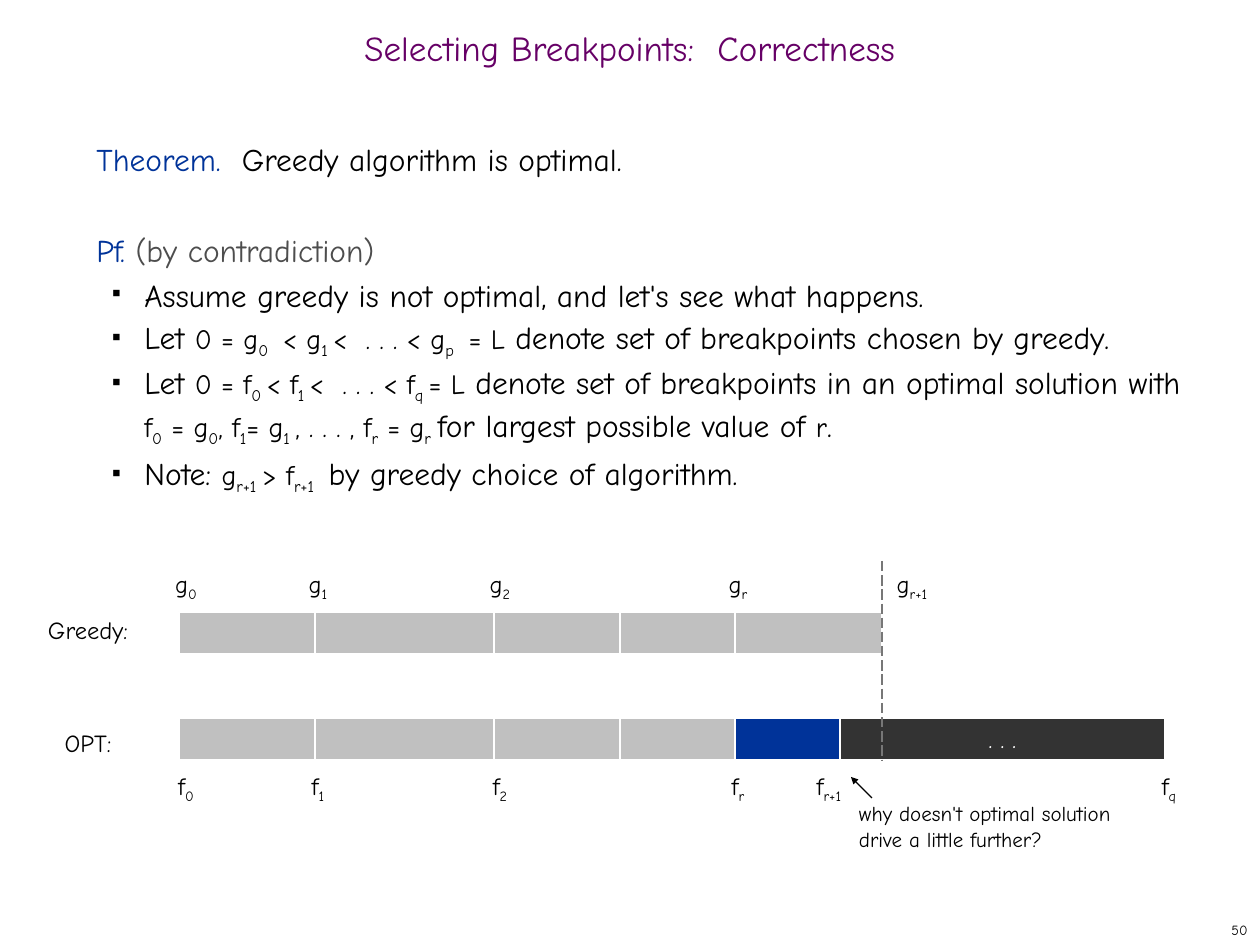
from dataclasses import dataclass
from itertools import pairwise

import pptx
import pptx.dml.color
import pptx.enum.dml
import pptx.enum.shapes
import pptx.enum.text
import pptx.oxml
import pptx.oxml.ns
import pptx.util

EMU_PER_PX = 914400 / 126
FONT = "Comic Neue"
COLORS = {
    "title": "660066",
    "blue": "003399",
    "muted": "4D4D4D",
    "black": "000000",
    "white": "FFFFFF",
    "gray": "C0C0C0",
    "dark": "333333",
    "dash": "777777",
}
ALIGN = pptx.enum.text.PP_ALIGN
ANCHOR = pptx.enum.text.MSO_ANCHOR


@dataclass(frozen=True)
class Span:
    words: str
    size: int = 18
    color: str = "black"
    lowered: bool = False


@dataclass(frozen=True)
class Label:
    center: int
    top: int
    spans: list[Span]
    height: int = 47


@dataclass(frozen=True)
class Bar:
    top: int
    edges: list[int]
    fills: list[str]


def px(length: int) -> int:
    return round(length * EMU_PER_PX)


def rgb(name: str) -> pptx.dml.color.RGBColor:
    return pptx.dml.color.RGBColor.from_string(COLORS[name])


def formula(words: str, size: int = 16) -> list[Span]:
    return [Span(part, size, lowered=i % 2 == 1) for i, part in enumerate(words.split("|"))]


def add_spans(para, spans: list[Span]) -> None:
    for item in spans:
        span = para.add_run()
        span.text = item.words
        span.font.name = FONT
        span.font.size = pptx.util.Pt(item.size)
        span.font.color.rgb = rgb(item.color)
        if item.lowered:
            span.font._element.set("baseline", "-25000")


def add_element(parent, tag: str, attributes: str = "", inner: str = "") -> None:
    namespace = pptx.oxml.ns.nsdecls("a")
    parent.append(pptx.oxml.parse_xml(f"<a:{tag} {namespace} {attributes}>{inner}</a:{tag}>"))


def add_bullet(para) -> None:
    properties = para._p.get_or_add_pPr()
    properties.set("marL", str(px(48)))
    properties.set("indent", str(px(-32)))
    add_element(properties, "buClr", inner=f'<a:srgbClr val="{COLORS["black"]}"/>')
    add_element(properties, "buSzPct", 'val="35000"')
    add_element(properties, "buChar", 'char="■"')


def add_text(page, left: int, top: int, width: int, height: int, spans: list[Span],
             align=ALIGN.LEFT, anchor=ANCHOR.TOP, wrap: bool = True):
    box = page.shapes.add_textbox(px(left), px(top), px(width), px(height))
    frame = box.text_frame
    frame.word_wrap = wrap
    frame.vertical_anchor = anchor
    frame.paragraphs[0].alignment = align
    add_spans(frame.paragraphs[0], spans)
    return box


def add_label(page, label: Label) -> None:
    width = 140
    add_text(page, label.center - width // 2, label.top, width, label.height,
             label.spans, ALIGN.CENTER, ANCHOR.MIDDLE, False)


def add_bar(page, bar: Bar) -> list:
    segments = []
    for (left, right), fill in zip(pairwise(bar.edges), bar.fills):
        segment = page.shapes.add_shape(
            pptx.enum.shapes.MSO_SHAPE.RECTANGLE, px(left), px(bar.top), px(right - left), px(42))
        segment.shadow.inherit = False
        segment.fill.solid()
        segment.fill.fore_color.rgb = rgb(fill)
        segment.line.color.rgb = rgb("white")
        segment.line.width = pptx.util.Pt(0.75)
        segments.append(segment)
    return segments


def add_line(page, start: tuple[int, int], end: tuple[int, int], color: str):
    line = page.shapes.add_connector(
        pptx.enum.shapes.MSO_CONNECTOR.STRAIGHT, *map(px, start + end))
    line.line.color.rgb = rgb(color)
    line.line.width = pptx.util.Pt(0.75)
    add_element(line._element.spPr, "effectLst")
    return line


def add_title(page) -> None:
    title = page.shapes.title
    title.left, title.top, title.width, title.height = map(px, (0, 21, 1260, 63))
    frame = title.text_frame
    frame.text = "Selecting Breakpoints:  Correctness"
    frame.auto_size = pptx.enum.text.MSO_AUTO_SIZE.NONE
    frame.vertical_anchor = ANCHOR.MIDDLE
    para = frame.paragraphs[0]
    para.alignment = ALIGN.CENTER
    para.line_spacing = 0.7
    font = para.runs[0].font
    font.name, font.size, font.color.rgb = FONT, pptx.util.Pt(20), rgb("title")


def add_proof(page) -> None:
    theorem = [Span("Theorem.  ", color="blue"), Span("Greedy algorithm is optimal.")]
    heading = [Span("Pf. ", color="blue"), Span("(by contradiction)", color="muted")]
    steps = [
        [Span("Assume greedy is not optimal, and let's see what happens.")],
        [Span("Let "), *formula("0 = g|0 | < g|1 |<  . . . < g|p | = L"),
         Span(" denote set of breakpoints chosen by greedy.")],
        [Span("Let "), *formula("0 = f|0 |< f|1 |<  . . . < f|q |= L"),
         Span(" denote set of breakpoints in an optimal solution with "),
         *formula("f|0| = g|0|, f|1|= g|1 |, . . . , f|r| = g|r"),
         Span(" ", 20, lowered=True),
         Span("for largest possible value of "), Span("r", 16), Span(".")],
        [Span("Note: "), *formula("g|r+1 |> f|r+1 | "), Span("by greedy choice of algorithm.")],
    ]
    leading = pptx.util.Pt(26)
    frame = add_text(page, 84, 126, 1113, 746, theorem).text_frame
    frame.paragraphs[0].line_spacing = leading
    frame.paragraphs[0].space_after = leading
    for number, spans in enumerate([heading, *steps]):
        para = frame.add_paragraph()
        if number:
            add_bullet(para)
        para.line_spacing = leading
        add_spans(para, spans)


def add_diagram(page) -> None:
    shared = [179, 315, 494, 620, 735]
    opt = Bar(718, shared + [840, 1165], ["gray"] * 4 + ["blue", "dark"])
    greedy = Bar(612, shared + [882], ["gray"] * 5)
    remainder = add_bar(page, opt)[-1]
    para = remainder.text_frame.paragraphs[0]
    para.alignment = ALIGN.CENTER
    add_spans(para, [Span(". . .", 14, "white")])
    add_bar(page, greedy)

    add_label(page, Label(88, 609, [Span("Greedy:", 14)], 42))
    add_label(page, Label(88, 722, [Span("OPT:", 14)], 42))
    common = [(186, "0"), (318, "1"), (500, "2"), (738, "r")]
    rows = [("g", 562, common + [(912, "r+1")]),
            ("f", 764, common + [(829, "r+1"), (1169, "q")])]
    for letter, top, marks in rows:
        for center, index in marks:
            add_label(page, Label(center, top, formula(f"{letter}|{index}", 14)))

    note = add_text(page, 859, 801, 295, 50,
                    [Span("why doesn't optimal solution drive a little further?", 12)])
    frame = note.text_frame
    frame.margin_left = frame.margin_top = frame.margin_right = frame.margin_bottom = 0
    arrow = add_line(page, (872, 798), (851, 777), "black")
    add_element(arrow.line._get_or_add_ln(), "tailEnd", 'type="triangle" w="sm" len="sm"')
    limit = add_line(page, (882, 561), (882, 761), "dash")
    limit.line.dash_style = pptx.enum.dml.MSO_LINE.LONG_DASH


def main() -> None:
    deck = pptx.Presentation()
    deck.slide_width, deck.slide_height = px(1260), px(945)
    page = deck.slides.add_slide(deck.slide_layouts[5])
    add_title(page)
    add_proof(page)
    add_diagram(page)
    add_text(page, 998, 914, 262, 31, [Span("50", 8)], ALIGN.RIGHT, ANCHOR.MIDDLE)
    deck.save("out.pptx")


if __name__ == "__main__":
    main()
